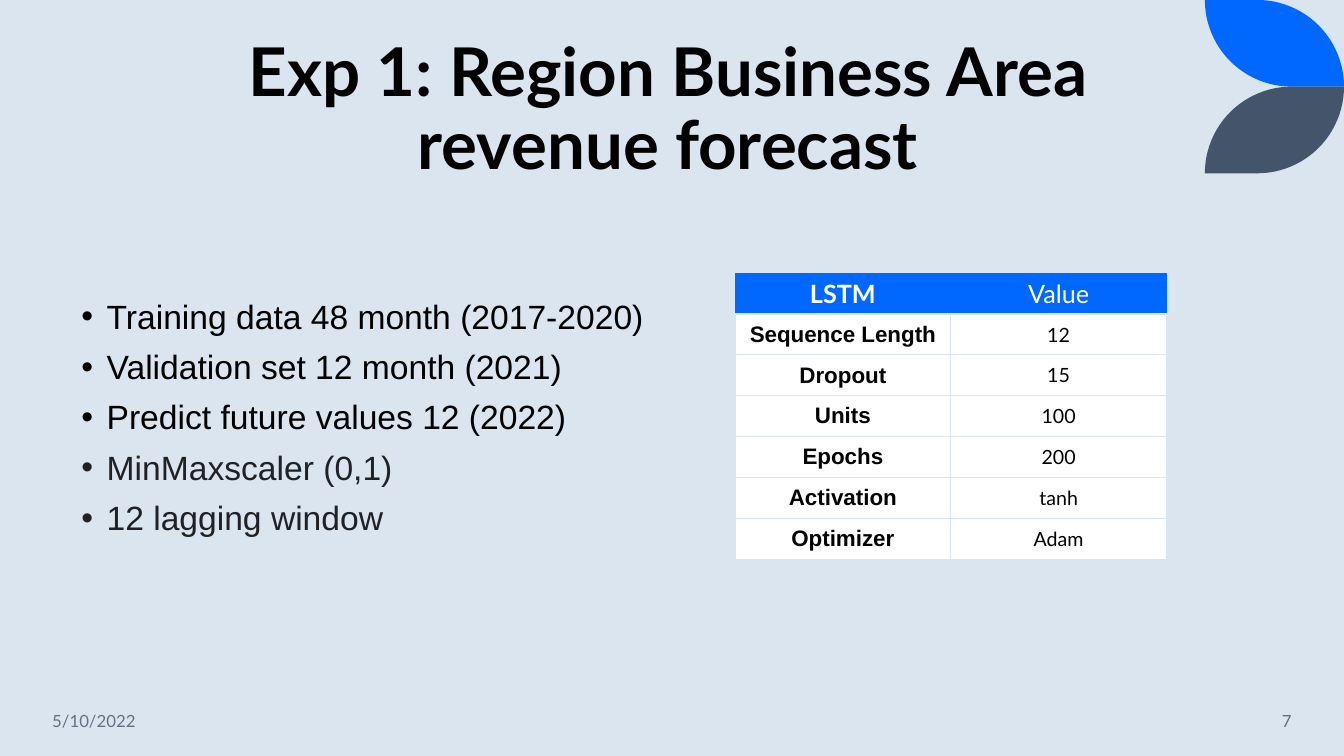
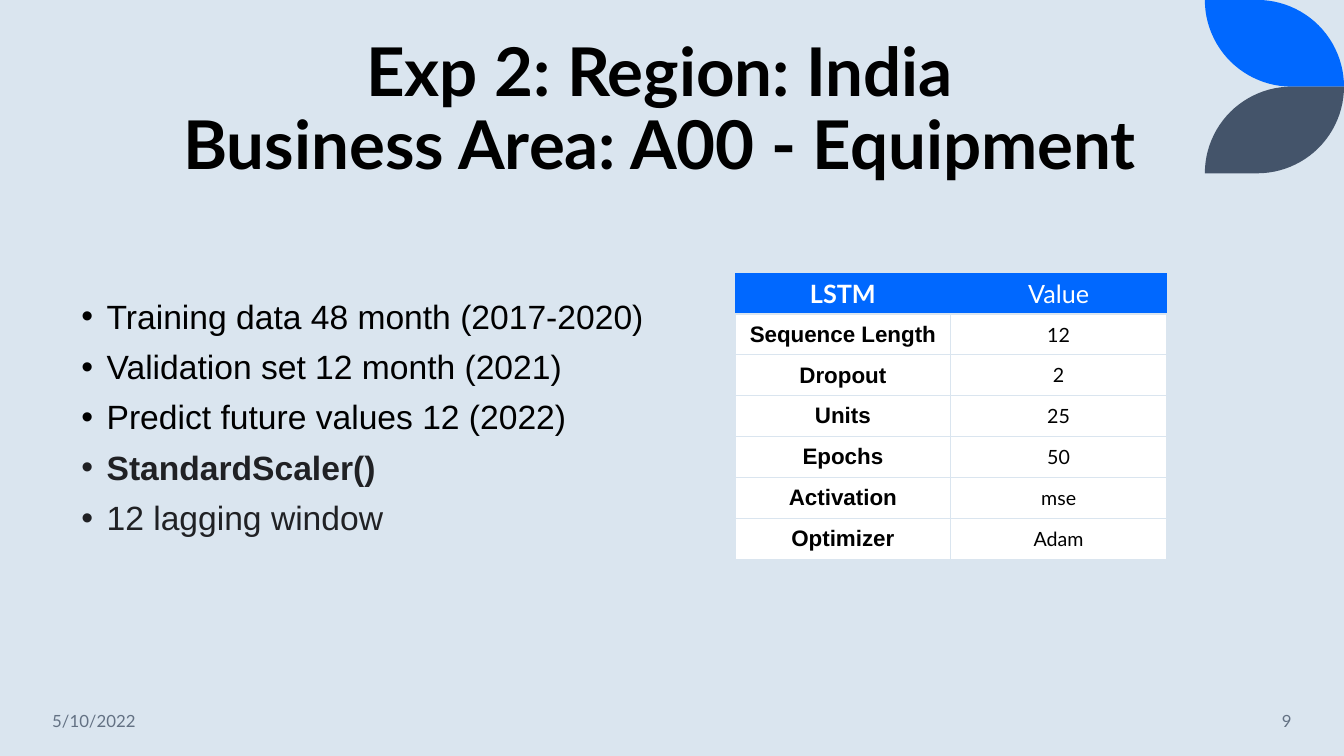
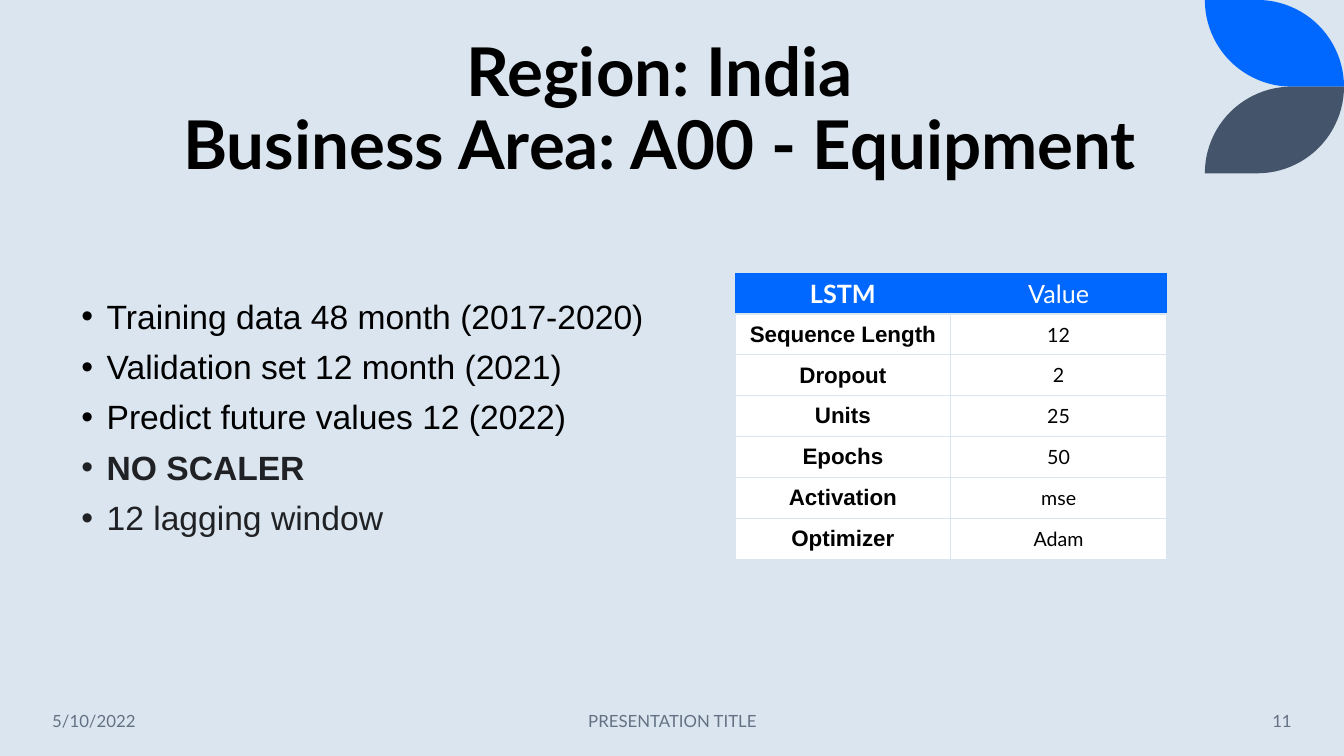
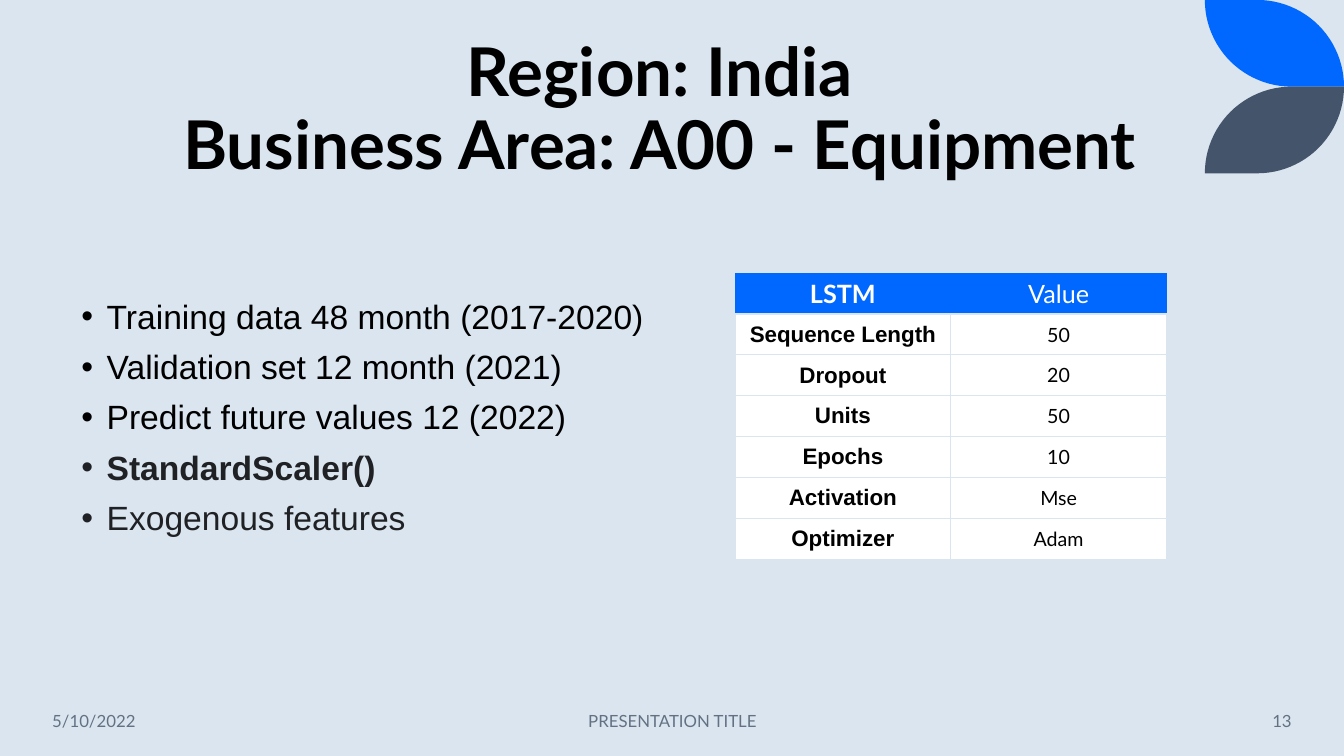
from math import cos, pi, sin

from lxml import etree
from pptx import Presentation
from pptx.dml.color import RGBColor
from pptx.enum.text import MSO_ANCHOR, PP_ALIGN
from pptx.oxml.ns import qn
from pptx.util import Inches, Pt

LEFT, CENTER, RIGHT = PP_ALIGN.LEFT, PP_ALIGN.CENTER, PP_ALIGN.RIGHT
TOP, MIDDLE, BOTTOM = MSO_ANCHOR.TOP, MSO_ANCHOR.MIDDLE, MSO_ANCHOR.BOTTOM

COLORS = {
    "background": "DAE5EF", "blue": "0068FF", "slate": "44546A",
    "white": "FFFFFF", "black": "000000", "ink": "202124", "footer": "637183",
}
HEADING_FONT, BODY_FONT = "Lato", "Arial"
PLAIN_TABLE_STYLE = "{2D5ABB26-0587-4C30-8999-92F81FD0307C}"

SLIDE_WIDTH, SLIDE_HEIGHT = 13.33, 7.5
LEAF_WIDTH, LEAF_HEIGHT = 1.38, 0.86
ARC_STEPS = 24
COLUMN_WIDTH, ROW_HEIGHT = 2.14, 2.84 / 7
FOOTER_TOP, FOOTER_HEIGHT = 6.95, 0.4

PARAMETERS = ["Sequence Length", "Dropout", "Units", "Epochs", "Activation", "Optimizer"]
SHARED_POINTS = [
    "Training data 48 month (2017-2020)",
    "Validation set 12 month (2021)",
    "Predict future values 12 (2022)",
]
# The space ending a centred title line takes part in its centring.
REGION = ["Region: India ", "Business Area: A00 - Equipment "]
EXPERIMENTS = [
    {"title": ["Exp 1: Region Business Area", "revenue forecast"],
     "scaler": "MinMaxscaler\u00a0(0,1)", "scaler_bold": False, "features": "12 lagging window",
     "values": ["12", "15", "100", "200", "tanh", "Adam"], "footer": "", "number": "7"},
    {"title": ["Exp 2: " + REGION[0], REGION[1]],
     "scaler": "StandardScaler()", "scaler_bold": True, "features": "12 lagging window",
     "values": ["12", "2", "25", "50", "mse", "Adam"], "footer": "", "number": "9"},
    {"title": REGION,
     "scaler": "NO SCALER", "scaler_bold": True, "features": "12 lagging window",
     "values": ["12", "2", "25", "50", "mse", "Adam"],
     "footer": "PRESENTATION TITLE", "number": "11"},
    {"title": REGION,
     "scaler": "StandardScaler()", "scaler_bold": True, "features": "Exogenous features",
     "values": ["50", "20", "50", "10", "Mse", "Adam"],
     "footer": "PRESENTATION TITLE", "number": "13"},
]


def add_text(paragraph, text, size, font, color, bold=False, align=LEFT):
    """Append one styled run to a paragraph and align the paragraph."""
    paragraph.alignment = align
    run = paragraph.add_run()
    run.text = text
    run.font.size = Pt(size)
    run.font.name = font
    run.font.bold = bold
    run.font.color.rgb = RGBColor.from_string(COLORS[color])


def add_frame(slide, left, top, width, height, anchor):
    """Add a wrapping text box and return its text frame."""
    box = slide.shapes.add_textbox(Inches(left), Inches(top), Inches(width), Inches(height))
    box.text_frame.word_wrap = True
    box.text_frame.vertical_anchor = anchor
    return box.text_frame


prs = Presentation()
prs.slide_width, prs.slide_height = Inches(SLIDE_WIDTH), Inches(SLIDE_HEIGHT)
backdrop = prs.slide_master.background.fill
backdrop.solid()
backdrop.fore_color.rgb = RGBColor.from_string(COLORS["background"])

# A leaf is a quarter circle and the same arc turned by half a turn.
angles = [step * pi / 2 / ARC_STEPS for step in range(ARC_STEPS + 1)]
right_arc = [(LEAF_WIDTH - LEAF_HEIGHT * (1 - sin(a)), LEAF_HEIGHT * (1 - cos(a))) for a in angles]
left_arc = [(LEAF_WIDTH - x, LEAF_HEIGHT - y) for x, y in right_arc]
upper_leaf = right_arc + left_arc
lower_leaf = [(x, 2 * LEAF_HEIGHT - y) for x, y in upper_leaf]

for experiment in EXPERIMENTS:
    slide = prs.slides.add_slide(prs.slide_layouts[6])

    for outline, color in ((upper_leaf, "blue"), (lower_leaf, "slate")):
        points = [(Inches(SLIDE_WIDTH - LEAF_WIDTH + x), Inches(y)) for x, y in outline]
        builder = slide.shapes.build_freeform(*points[0])
        builder.add_line_segments(points[1:], close=True)
        leaf = builder.convert_to_shape()
        leaf.shadow.inherit = False
        leaf.fill.solid()
        leaf.fill.fore_color.rgb = RGBColor.from_string(COLORS[color])
        leaf.line.fill.background()

    title = add_frame(slide, 1.28, 0.42, 10.69, 1.45, BOTTOM).paragraphs[0]
    title.line_spacing = 0.9
    first_line, second_line = experiment["title"]
    add_text(title, first_line, 48, HEADING_FONT, "black", True, CENTER)
    title.add_line_break()
    add_text(title, second_line, 48, HEADING_FONT, "black", True, CENTER)

    rows = [("LSTM", "Value"), *zip(PARAMETERS, experiment["values"])]
    settings = slide.shapes.add_table(
        len(rows), 2, Inches(7.29), Inches(2.71),
        Inches(2 * COLUMN_WIDTH), Inches(len(rows) * ROW_HEIGHT)).table
    settings._tbl.tblPr.find(qn("a:tableStyleId")).text = PLAIN_TABLE_STYLE
    for column in settings.columns:
        column.width = Inches(COLUMN_WIDTH)
    for row_index, row in enumerate(rows):
        settings.rows[row_index].height = Inches(ROW_HEIGHT)
        is_header = row_index == 0
        for column_index, text in enumerate(row):
            is_label = column_index == 0
            cell = settings.cell(row_index, column_index)
            cell.vertical_anchor = MIDDLE
            # Borders come before the fill in the cell properties.
            for edge in ["lnB"] if is_header else ["lnL", "lnR", "lnT", "lnB"]:
                border = etree.SubElement(cell._tc.get_or_add_tcPr(), qn("a:" + edge), w=str(Pt(1)))
                paint = etree.SubElement(border, qn("a:solidFill"))
                etree.SubElement(paint, qn("a:srgbClr"), val=COLORS["background"])
            cell.fill.solid()
            cell.fill.fore_color.rgb = RGBColor.from_string(COLORS["blue" if is_header else "white"])
            if is_header:
                size, font, color = 18, HEADING_FONT, "white"
            elif is_label:
                size, font, color = 16, BODY_FONT, "black"
            else:
                size, font, color = 14, HEADING_FONT, "black"
            add_text(cell.text_frame.paragraphs[0], text, size, font, color, is_label, CENTER)

    for left, width, text, align in (
        (0.42, 1.86, "5/10/2022", LEFT),
        (4.42, 4.5, experiment["footer"], CENTER),
        (11.1, 1.81, experiment["number"], RIGHT),
    ):
        if text:
            footer = add_frame(slide, left, FOOTER_TOP, width, FOOTER_HEIGHT, MIDDLE)
            add_text(footer.paragraphs[0], text, 12, HEADING_FONT, "footer", align=align)

    setup = add_frame(slide, 0.71, 2.93, 5.96, 2.97, TOP)
    points = [(text, "black", False) for text in SHARED_POINTS]
    points.append((experiment["scaler"], "ink", experiment["scaler_bold"]))
    points.append((experiment["features"], "ink", False))
    for index, (text, color, bold) in enumerate(points):
        point = setup.add_paragraph() if index else setup.paragraphs[0]
        point.line_spacing = 0.9
        point.space_before = Pt(10)
        indents = point._p.get_or_add_pPr()
        indents.set("marL", str(Inches(0.25)))
        indents.set("indent", str(Inches(-0.25)))
        etree.SubElement(indents, qn("a:buFont"), typeface=BODY_FONT)
        etree.SubElement(indents, qn("a:buChar"), char="\u2022")
        add_text(point, text, 24, BODY_FONT, color, bold)

prs.save("out.pptx")
